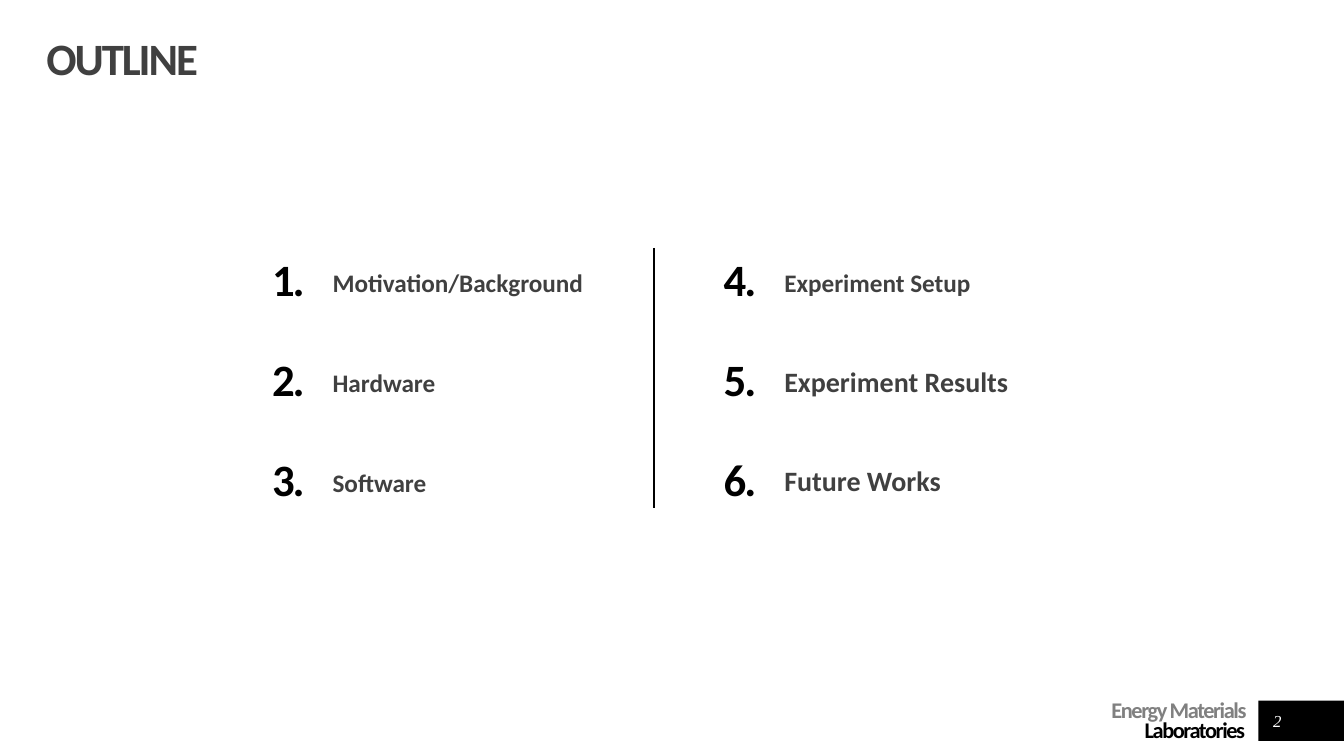
from lxml import etree
from pptx import Presentation
from pptx import util as u
from pptx.dml.color import RGBColor
from pptx.enum import shapes, text
from pptx.oxml import ns

WIDTH, HEIGHT = 13.33, 7.5
BLACK = RGBColor(0x00, 0x00, 0x00)
WHITE = RGBColor(0xFF, 0xFF, 0xFF)
CHARCOAL = RGBColor(0x40, 0x40, 0x40)
GRAY = RGBColor(0x80, 0x80, 0x80)

ROW_PITCH, ROW_HEIGHT = 0.99, 0.6
NUMBER_WIDTH, TOPIC_WIDTH = 1.17, 3.82
LEFT_TOPICS = [("Motivation/Background", 18), ("Hardware", 18), ("Software", 18)]
RIGHT_TOPICS = [("Experiment Setup", 18), ("Experiment Results", 20), ("Future Works", 20)]


def inches(*lengths):
    """Convert lengths in inches to slide units."""
    return [u.Inches(length) for length in lengths]


def set_frame(frame, margins, anchor):
    """Set wrapping, margins and anchor, and return the first paragraph."""
    frame.word_wrap = True
    frame.auto_size = text.MSO_AUTO_SIZE.NONE
    frame.vertical_anchor = anchor
    (frame.margin_left, frame.margin_top,
     frame.margin_right, frame.margin_bottom) = inches(*margins)
    return frame.paragraphs[0]


def add_run(paragraph, words, size, color, name="Calibri", bold=True, italic=False, spacing=0):
    """Add one formatted run; spacing is in points."""
    run = paragraph.add_run()
    run.text = words
    font = run.font
    font.size, font.name, font.bold, font.italic = u.Pt(size), name, bold, italic
    font.color.rgb = color
    if spacing:
        run._r.get_or_add_rPr().set("spc", str(int(spacing * 100)))


def add_block(slide, box, color):
    """Add a plain filled rectangle."""
    block = slide.shapes.add_shape(shapes.MSO_SHAPE.RECTANGLE, *inches(*box))
    block.shadow.inherit = False
    block.fill.solid()
    block.fill.fore_color.rgb = color
    block.line.fill.background()
    return block


def add_title(slide, box):
    """Place the heading in the title placeholder."""
    heading = slide.shapes.title
    heading.left, heading.top, heading.width, heading.height = inches(*box)
    line = set_frame(heading.text_frame, (0, 0, 0, 0), text.MSO_ANCHOR.MIDDLE)
    line.alignment, line.line_spacing = text.PP_ALIGN.LEFT, 0.9
    add_run(line, "OUTLINE", 32, CHARCOAL, spacing=-1.5)


def add_footer(slide, left, top):
    """Place the laboratory name, the black corner and the page number."""
    add_block(slide, (left + 1.95, top + 0.01, WIDTH - left - 1.95, 0.4), BLACK)

    laboratory = slide.shapes.add_textbox(*inches(left, top, 1.82, 0.44))
    line = set_frame(laboratory.text_frame, (0, 0.04, 0, 0), text.MSO_ANCHOR.TOP)
    line.alignment, line.line_spacing = text.PP_ALIGN.RIGHT, u.Pt(14)
    add_run(line, "Energy Materials ", 16, GRAY, spacing=-1)
    add_run(line, "Laboratories", 16, BLACK, spacing=-1)

    page = slide.shapes.add_textbox(*inches(left + 1.99, top + 0.06, 0.3, 0.3))
    line = set_frame(page.text_frame, (0, 0, 0, 0), text.MSO_ANCHOR.MIDDLE)
    line.alignment = text.PP_ALIGN.CENTER
    add_run(line, "2", 12, WHITE, "Times New Roman", bold=False, italic=True)


def add_topics(slide, left, top, topics, first):
    """Stack numbered topics downwards from the given corner."""
    margins = (0.1,) * 4
    for row, (topic, size) in enumerate(topics):
        y = top + row * ROW_PITCH
        label = add_block(slide, (left + NUMBER_WIDTH, y, TOPIC_WIDTH, ROW_HEIGHT), WHITE)
        line = set_frame(label.text_frame, margins, text.MSO_ANCHOR.BOTTOM)
        line.alignment, line.line_spacing = text.PP_ALIGN.LEFT, 0.9
        add_run(line, topic, size, CHARCOAL)

        number = slide.shapes.add_textbox(*inches(left, y, NUMBER_WIDTH, ROW_HEIGHT))
        line = set_frame(number.text_frame, margins, text.MSO_ANCHOR.TOP)
        line.alignment, line.line_spacing = text.PP_ALIGN.RIGHT, 0.9
        add_run(line, f"{first + row}. ", 32, BLACK, spacing=-1.5)


def add_divider(slide, x, top, bottom):
    """Draw the vertical rule between the two columns."""
    divider = slide.shapes.add_connector(
        shapes.MSO_CONNECTOR.STRAIGHT, *inches(x, top, x, bottom))
    divider.line.color.rgb = BLACK
    divider.line.width = u.Pt(1.25)
    etree.SubElement(divider._element.spPr, ns.qn("a:effectLst"))


def add_outline(slide, left, top):
    """Place both columns of topics and the divider."""
    column_pitch = 4.48
    bottom = top + 2 * ROW_PITCH + ROW_HEIGHT
    add_topics(slide, left, top, LEFT_TOPICS, 1)
    add_divider(slide, left + column_pitch - 0.02, top, bottom)
    add_topics(slide, left + column_pitch, top, RIGHT_TOPICS, len(LEFT_TOPICS) + 1)


def main():
    """Build the outline slide."""
    deck = Presentation()
    deck.slide_width, deck.slide_height = inches(WIDTH, HEIGHT)
    slide = deck.slides.add_slide(deck.slide_layouts[5])
    add_footer(slide, 10.53, 6.94)
    add_title(slide, (0.46, 0.37, 9.99, 0.47))
    add_outline(slide, 2.03, 2.46)
    deck.save("out.pptx")


if __name__ == "__main__":
    main()
